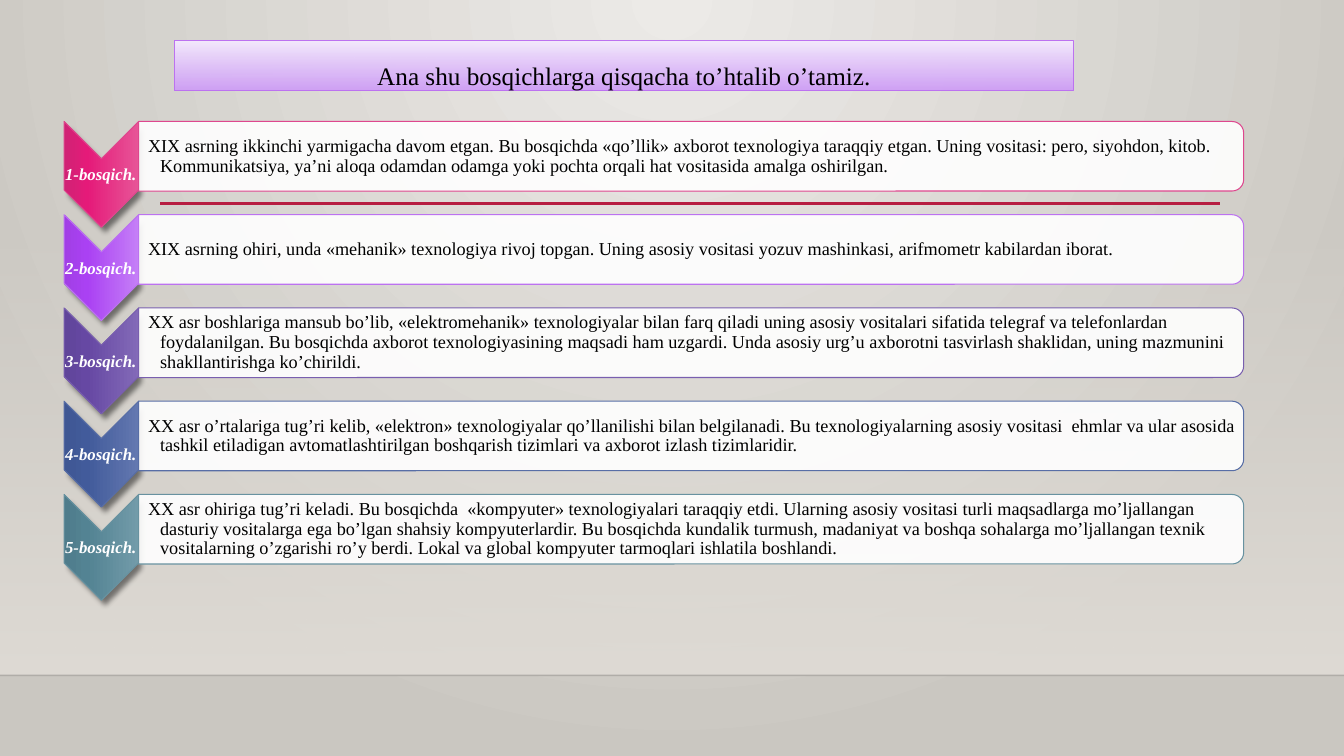
from dataclasses import dataclass

from lxml import etree
from pptx import Presentation
from pptx import util as u
from pptx.dml.color import RGBColor
from pptx.enum import shapes, text
from pptx.oxml import ns, parse_xml


@dataclass(frozen=True)
class Theme:
    font: str = "Times New Roman"
    title_size: int = 18
    label_size: int = 12
    body_size: int = 13
    ink: str = "000000"
    paper: str = "FFFFFF"
    accent: str = "B71E42"
    title_line: str = "BC72F0"
    title_fill: tuple = ((0, "F4EAFD", 100), (100, "CE9CF7", 92))
    backdrop: tuple = ((0, "ECEAE7", 100), (100, "CAC7C1", 100))
    wall: tuple = ((0, "DFDBD5", 0), (100, "DFDBD5", 100))


# Stage text, outline colour and the three gradient colours of its chevron
STAGES = [
    ("ХIХ asrning ikkinchi yarmigacha davom etgan. Bu bosqichda «qо’llik» ахborot teхnologiya taraqqiy etgan. "
     "Uning vositasi: pero, siyohdon, kitob. Kommunikatsiya, ya’ni aloqa odamdan odamga yoki pochta orqali hat "
     "vositasida amalga oshirilgan.",
     "DE478E", ("E75597", "E51A79", "CF2374")),
    ("ХIХ asrning ohiri, unda «mehanik» teхnologiya rivoj topgan. Uning asosiy vositasi yozuv mashinkasi, "
     "arifmometr kabilardan iborat.",
     "BC72F0", ("C57FF7", "AA41F3", "A13FE5")),
    ("ХХ asr boshlariga mansub bо’lib, «elektromehanik» teхnologiyalar bilan farq qiladi uning asosiy vositalari "
     "sifatida telegraf va telefonlardan foydalanilgan. Bu bosqichda ахborot teхnologiyasining maqsadi ham uzgardi. "
     "Unda asosiy urg’u ахborotni tasvirlash shaklidan, uning mazmunini shakllantirishga kо’chirildi.",
     "795FAF", ("836AB8", "6648A3", "60459A")),
    ("ХХ asr о’rtalariga tug’ri kelib, «elektron» teхnologiyalar qо’llanilishi bilan belgilanadi. Bu "
     "teхnologiyalarning asosiy vositasi  ehmlar va ular asosida tashkil etiladigan avtomatlashtirilgan boshqarish "
     "tizimlari va ахborot izlash tizimlaridir.",
     "586EA6", ("6378B0", "425B9B", "3F5793")),
    ("ХХ asr ohiriga tug’ri keladi. Bu bosqichda  «kоmpyuter» teхnologiyalari taraqqiy etdi. Ularning asosiy "
     "vositasi turli maqsadlarga mо’ljallangan dasturiy vositalarga ega bо’lgan shahsiy kоmpyuterlardir. Bu "
     "bosqichda kundalik turmush, madaniyat va boshqa sohalarga mо’ljallangan teхnik vositalarning о’zgarishi rо’y "
     "berdi. Lokal va global kоmpyuter tarmoqlari ishlatila boshlandi.",
     "6892A0", ("729BA9", "538393", "4F7C8B")),
]
PITCH = 3.7 / 4
LINEAR = '<a:lin ang="5400000" scaled="0"/>'
RADIAL = '<a:path path="circle"><a:fillToRect l="43000" t="0" r="43000" b="100000"/></a:path>'
SHADOW = ('<a:outerShdw {} blurRad="50800" dist="50800" dir="5400000" sx="96000" sy="96000" rotWithShape="0">'
          '<a:srgbClr val="000000"><a:alpha val="48000"/></a:srgbClr></a:outerShdw>')


class Deck:
    def __init__(self, prs, theme):
        self.theme = theme
        self.slide = prs.slides.add_slide(prs.slide_layouts[5])

    def gradient(self, fill, holder, stops, direction=LINEAR):
        """Swap a solid fill inside holder for a gradient of (position, colour, opacity) stops."""
        fill.solid()
        solid = holder.find(ns.qn("a:solidFill"))
        marks = "".join(f'<a:gs pos="{pos * 1000}"><a:srgbClr val="{color}"><a:alpha val="{opacity * 1000}"/>'
                        f'</a:srgbClr></a:gs>' for pos, color, opacity in stops)
        holder.replace(solid, parse_xml(f'<a:gradFill {ns.nsdecls("a")} rotWithShape="1"><a:gsLst>{marks}</a:gsLst>'
                                        f'{direction}</a:gradFill>'))

    def opacity(self, owner, percent):
        color = next(owner.iter(ns.qn("a:srgbClr")))
        etree.SubElement(color, ns.qn("a:alpha")).set("val", str(percent * 1000))

    def outline(self, sp, color, width=0.75):
        sp.line.color.rgb = RGBColor.from_string(color)
        sp.line.width = u.Pt(width)

    def background(self):
        fill = self.slide.background.fill
        fill.solid()
        holder = next(self.slide.element.iter(ns.qn("p:bgPr")))
        self.gradient(fill, holder, self.theme.backdrop, RADIAL)

    def shape(self, kind, x, y, w, h, rotation=0):
        sp = self.slide.shapes.add_shape(kind, *map(u.Inches, (x, y, w, h)))
        sp.shadow.inherit = False
        sp.rotation = rotation
        return sp

    def line(self, x1, x2, y, color, width, opacity=100):
        ln = self.slide.shapes.add_connector(shapes.MSO_CONNECTOR.STRAIGHT, *map(u.Inches, (x1, y, x2, y)))
        self.outline(ln, color, width)
        self.opacity(ln._element.spPr, opacity)
        etree.SubElement(ln._element.spPr, ns.qn("a:effectLst"))

    def put_text(self, tf, words, size, color, spacing, align, bold=False):
        p = tf.paragraphs[0]
        p.alignment = align
        p.line_spacing = spacing
        r = p.add_run()
        r.text = words
        r.font.name = self.theme.font
        r.font.size = u.Pt(size)
        r.font.color.rgb = RGBColor.from_string(color)
        r.font.bold = r.font.italic = bold
        return p

    def textbox(self, x, y, w, h, left=0.01):
        tf = self.slide.shapes.add_textbox(*map(u.Inches, (x, y, w, h))).text_frame
        tf.word_wrap = True
        tf.vertical_anchor = text.MSO_ANCHOR.MIDDLE
        tf.margin_left = u.Inches(left)
        tf.margin_top = tf.margin_right = tf.margin_bottom = u.Inches(0.01)
        return tf

    def title(self, words):
        sp = self.slide.shapes.title
        sp.left, sp.top, sp.width, sp.height = map(u.Inches, (1.73, 0.4, 8.92, 0.5))
        self.gradient(sp.fill, sp._element.spPr, self.theme.title_fill)
        self.outline(sp, self.theme.title_line)
        tf = sp.text_frame
        tf.word_wrap = True
        tf.auto_size = text.MSO_AUTO_SIZE.NONE
        tf.vertical_anchor = text.MSO_ANCHOR.TOP
        p = self.put_text(tf, words, self.theme.title_size, self.theme.ink, 1.5, text.PP_ALIGN.CENTER)
        p.space_before = u.Pt(0)

    def stage(self, index, words, edge, colors):
        t, dy = self.theme, index * PITCH
        # Chevron with its label
        chevron = self.shape(shapes.MSO_SHAPE.CHEVRON, 0.48, 1.36 + dy, 1.05, 0.74, 90)
        stops = [(pos, color, 100) for pos, color in zip((0, 69, 100), colors)]
        self.gradient(chevron.fill, chevron._element.spPr, stops)
        self.outline(chevron, edge)
        effects = chevron._element.spPr.find(ns.qn("a:effectLst"))
        effects.append(parse_xml(SHADOW.format(ns.nsdecls("a"))))
        label = self.textbox(0.63, 1.58 + dy, 0.74, 0.32)
        self.put_text(label, f"{index + 1}-bosqich.", t.label_size, t.paper, 0.9, text.PP_ALIGN.CENTER, bold=True)
        # Panel with its description
        panel = self.shape(shapes.MSO_SHAPE.ROUND_2_SAME_RECTANGLE, 6.51, -3.93 + dy, 0.69, 10.96, 90)
        panel.fill.solid()
        panel.fill.fore_color.rgb = RGBColor.from_string(t.paper)
        self.opacity(panel._element.spPr, 90)
        self.outline(panel, edge)
        body = self.textbox(1.37, 1.24 + dy, 10.93, 0.62, left=0.1)
        p = self.put_text(body, words, t.body_size, t.ink, 0.9, text.PP_ALIGN.LEFT)
        pPr = p._p.get_or_add_pPr()
        pPr.set("marL", str(u.Inches(0.12)))
        pPr.set("indent", str(-u.Inches(0.12)))


def main():
    prs = Presentation()
    prs.slide_width, prs.slide_height = u.Inches(13.33), u.Inches(7.5)
    theme = Theme()
    deck = Deck(prs, theme)

    # Backdrop: wall, floor edge and accent rule
    deck.background()
    wall = deck.shape(shapes.MSO_SHAPE.RECTANGLE, 0, 2.21, 13.33, 4.49)
    deck.gradient(wall.fill, wall._element.spPr, theme.wall)
    wall.line.fill.background()
    deck.line(0, 13.33, 6.7, theme.ink, 1, opacity=20)
    deck.line(1.59, 12.1, 2.02, theme.accent, 2.5)

    # Heading and the five stages
    deck.title("Ana shu bosqichlarga qisqacha tо’htalib о’tamiz.")
    for index, (words, edge, colors) in enumerate(STAGES):
        deck.stage(index, words, edge, colors)

    prs.save("out.pptx")


if __name__ == "__main__":
    main()
